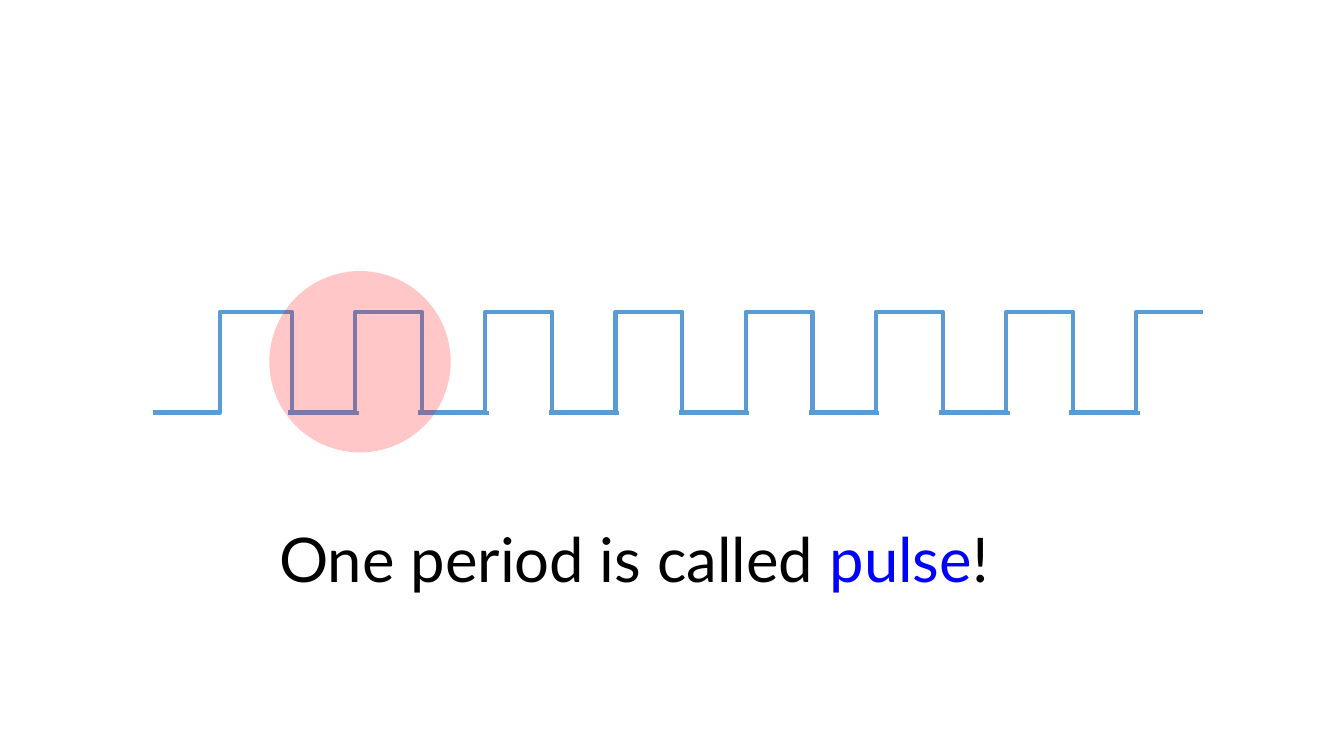
from dataclasses import dataclass

from lxml import etree
from pptx import Presentation
from pptx.dml.color import RGBColor
from pptx.enum.shapes import MSO_CONNECTOR, MSO_SHAPE
from pptx.enum.text import MSO_AUTO_SIZE
from pptx.oxml.ns import qn
from pptx.util import Pt

ELBOW = MSO_CONNECTOR.ELBOW
OVAL = MSO_SHAPE.OVAL
GROW = MSO_AUTO_SIZE.SHAPE_TO_FIT_TEXT

BLUE, RED, BLACK, PULSE = "5B9BD5", "FF0000", "000000", "0000FF"
TOP, BASE = 222.75, 294.75
WIDTH = 95.6
PERIOD = 93


@dataclass
class Edge:
    left: float
    rises: bool


def paint(part, color: str) -> None:
    """Give a fill a solid colour from a hex string."""
    part.solid()
    part.fore_color.rgb = RGBColor.from_string(color)


def draw_edge(shapes, edge: Edge) -> None:
    start, end = (BASE, TOP) if edge.rises else (TOP, BASE)
    line = shapes.add_connector(
        ELBOW, Pt(edge.left), Pt(start), Pt(edge.left + WIDTH), Pt(end))
    paint(line.line.fill, BLUE)
    line.line.width = Pt(3)
    etree.SubElement(line._element.spPr, qn("a:effectLst"))


def draw_spot(shapes, left: float, top: float, size: float, alpha: int) -> None:
    """Draw a see-through disc; alpha is its opacity in percent."""
    spot = shapes.add_shape(OVAL, Pt(left), Pt(top), Pt(size), Pt(size))
    spot.shadow.inherit = False
    spot.line.fill.background()
    paint(spot.fill, RED)
    color = spot._element.spPr.find(qn("a:solidFill"))[0]
    etree.SubElement(color, qn("a:alpha"), val=str(alpha * 1000))


def add_text(para, text: str, *, color: str = BLACK, size: float = 44,
             font: str = "Lato") -> None:
    run = para.add_run()
    run.text = text
    run.font.size = Pt(size)
    run.font.name = font
    paint(run.font.fill, color)


def main() -> None:
    deck = Presentation()
    deck.slide_width, deck.slide_height = Pt(960), Pt(540)
    slide = deck.slides.add_slide(deck.slide_layouts[6])
    shapes = slide.shapes

    edges = [Edge(109.4, True), Edge(160.6, False)]
    for k in range(6):
        edges += [Edge(205.9 + k * PERIOD, True),
                  Edge(253.6 + k * PERIOD, False)]
    edges.append(Edge(205.9 + 6 * PERIOD, True))
    wave = shapes.add_group_shape()
    for edge in edges:
        draw_edge(wave.shapes, edge)

    draw_spot(shapes, 192.4, 193.6, 129.6, 22)

    box = shapes.add_textbox(Pt(192.4), Pt(368.6), Pt(700), Pt(60.5))
    frame = box.text_frame
    frame.word_wrap = True
    frame.auto_size = GROW
    para = frame.paragraphs[0]
    add_text(para, "One period is called ")
    add_text(para, "pulse", color=PULSE)
    add_text(para, "!")

    deck.save("out.pptx")


if __name__ == "__main__":
    main()
